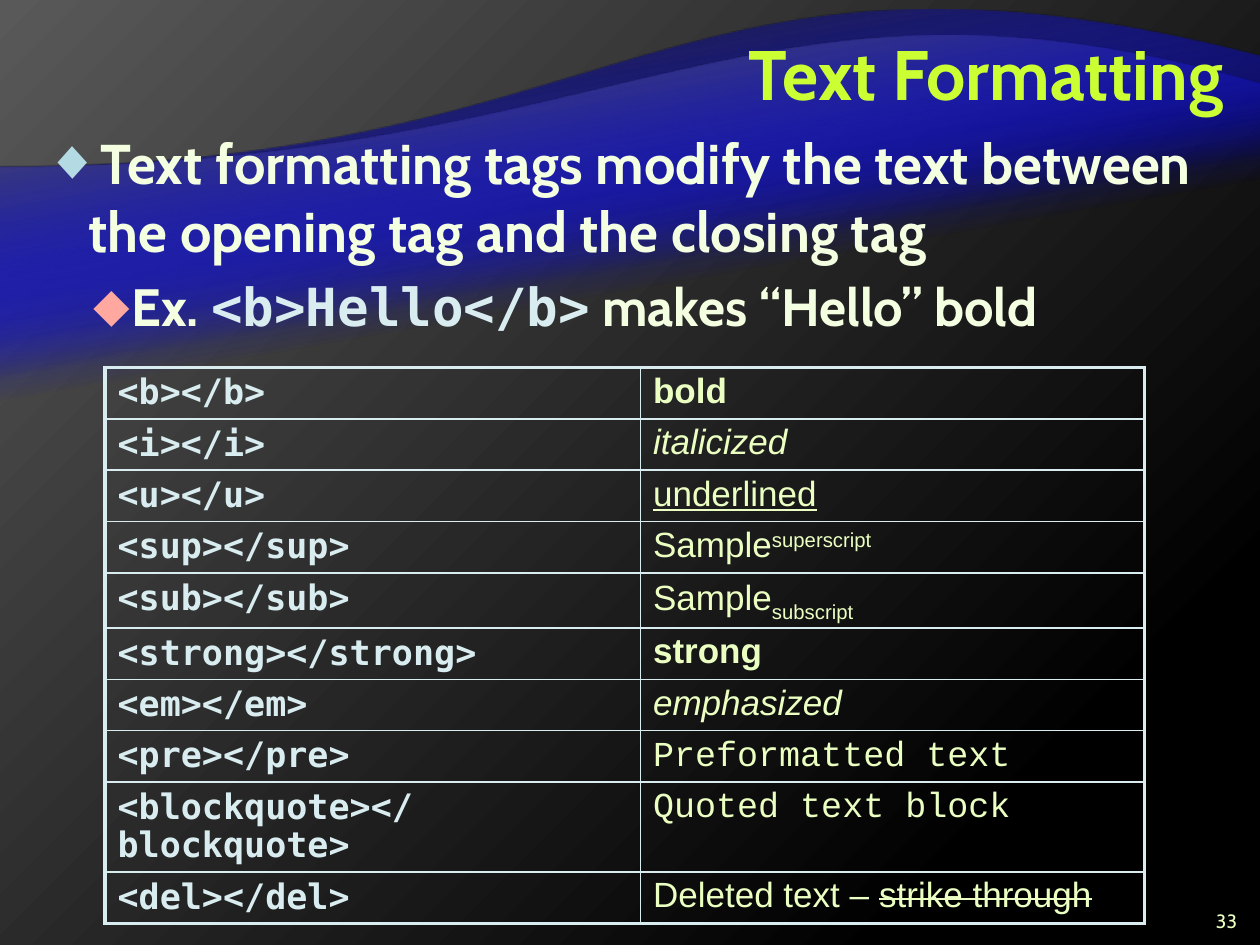
from lxml import etree
from pptx import Presentation
from pptx.dml.color import RGBColor
from pptx.enum.text import MSO_ANCHOR, MSO_AUTO_SIZE, PP_ALIGN
from pptx.oxml.ns import qn
from pptx.util import Inches, Pt

RIGHT = PP_ALIGN.RIGHT
MIDDLE = MSO_ANCHOR.MIDDLE
NO_AUTOFIT = MSO_AUTO_SIZE.NONE

LIME = RGBColor(0xCC, 0xFF, 0x33)
CREAM = RGBColor(0xF4, 0xFE, 0xE0)
PALE_BLUE = RGBColor(0xD9, 0xED, 0xF1)
PALE_GREEN = RGBColor(0xEA, 0xFF, 0xC1)
NUMBER_GREEN = RGBColor(0xEB, 0xFF, 0xC2)
BULLET_BLUE = RGBColor(0xB4, 0xDA, 0xE4)
BULLET_PINK = RGBColor(0xFF, 0xA8, 0x9F)
BLUE = RGBColor(0x00, 0x00, 0xFF)
BLACK = RGBColor(0x00, 0x00, 0x00)
CHARCOAL = RGBColor(0x26, 0x26, 0x26)
GREY = RGBColor(0x59, 0x59, 0x59)

HEADING, CODE, PLAIN, TYPED = "Cabin", "DejaVu Sans Mono", "Arial", "Courier New"

# The slide is a grid of 100 columns by 75 rows.
UNIT = Inches(0.1)
COLUMNS, ROWS = 100, 75

BOLD, ITALIC, UNDERLINE = {"bold": True}, {"italic": True}, {"underline": True}
SUPER, SUB, STRIKE = {"baseline": "30000"}, {"baseline": "-25000"}, {"strike": "sngStrike"}
TAG_EFFECTS = [
    ("<b></b>", [("bold", BOLD)]),
    ("<i></i>", [("italicized", ITALIC)]),
    ("<u></u>", [("underlined", UNDERLINE)]),
    ("<sup></sup>", [("Sample", {}), ("superscript", SUPER)]),
    ("<sub></sub>", [("Sample", {}), ("subscript", SUB)]),
    ("<strong></strong>", [("strong", BOLD)]),
    ("<em></em>", [("emphasized", ITALIC)]),
    ("<pre></pre>", [("Preformatted text", {"name": TYPED})]),
    ("<blockquote></blockquote>", [("Quoted text block", {"name": TYPED})]),
    ("<del></del>", [("Deleted text – ", {}), ("strike through", STRIKE)]),
]


def grid(*cells):
    return [int(cell * UNIT) for cell in cells]


def place(shape, box):
    for side, length in zip(("left", "top", "width", "height"), grid(*box)):
        setattr(shape, side, length)


def child(parent, tag, **attributes):
    return etree.SubElement(parent, qn(tag), attributes)


def add_run(paragraph, text, color, **style):
    """Add a run; baseline and strike are XML attributes, the rest are font properties."""
    run = paragraph.add_run()
    run.text = text
    run.font.color.rgb = color
    for key, value in style.items():
        if key in ("baseline", "strike"):
            run.font._element.set(key, value)
        else:
            setattr(run.font, key, value)


def set_gradient(fill, owner, stops):
    """Give the fill these (percent, colour, alpha) stops; return its gradFill element."""
    fill.gradient()
    gradient = owner.find(".//" + qn("a:gradFill"))
    for part in list(gradient):
        gradient.remove(part)
    stop_list = child(gradient, "a:gsLst")
    for percent, color, alpha in stops:
        stop = child(stop_list, "a:gs", pos=str(percent * 1000))
        tint = child(stop, "a:srgbClr", val=str(color))
        if alpha < 100:
            child(tint, "a:alpha", val=str(alpha * 1000))
    return gradient


def paint_background(slide):
    gradient = set_gradient(slide.background.fill, slide._element,
                            [(0, GREY, 100), (83, BLACK, 100), (100, BLACK, 100)])
    glow = child(gradient, "a:path", path="circle")
    child(glow, "a:fillToRect", r="100000", b="100000")


def bend(wave, controls):
    """Turn the first straight side of the wave into a curve with two control points."""
    side = wave._element.find(".//" + qn("a:lnTo"))
    end = side[0]
    side.tag = qn("a:cubicBezTo")
    for x, y in controls:
        point = etree.Element(qn("a:pt"), x=str(x - wave.left), y=str(y - wave.top))
        end.addprevious(point)


def add_wave(slide, layer, crest, bottom, edge_color):
    """Put a band between the crest curve and the bottom row on the slide master.

    The band is drawn upside down and turned, so that its gradient runs upwards.
    """
    top = crest[-1][1]
    start, first, second, end = [grid(COLUMNS - x, top + bottom - y) for x, y in crest]
    builder = slide.shapes.build_freeform(*start)
    builder.add_line_segments([end, grid(0, top), grid(COLUMNS, top)], close=True)
    wave = builder.convert_to_shape()
    bend(wave, (first, second))
    wave.rotation = 180
    wave.shadow.inherit = False
    wave.line.fill.background()
    gradient = set_gradient(wave.fill, wave._element,
                            [(0, BLUE, 0), (65, BLUE, 0), (100, edge_color, 100)])
    child(gradient, "a:lin", ang=str(80 * 60000), scaled="0")
    wave._element.nvSpPr.cNvPr.set("id", str(100 + layer))
    slide.slide_layout.slide_master.shapes._spTree.insert(2 + layer, wave._element)


def add_waves(slide):
    tall = ([(0, 13.3), (50, 13.3), (53.4, -7.5), (100, 4.5)], 65.3, CHARCOAL)
    short = ([(0, 13.3), (50, 13.3), (59.8, -4.9), (100, 6.7)], 55.7, GREY)
    for layer, wave in enumerate((tall, short) * 2):
        add_wave(slide, layer, *wave)


def fill_title(title, box):
    place(title, box)
    frame = title.text_frame
    frame.auto_size = NO_AUTOFIT
    frame.vertical_anchor = MIDDLE
    heading = frame.paragraphs[0]
    heading.alignment = RIGHT
    add_run(heading, "Text Formatting", LIME, name=HEADING, size=Pt(40), bold=True)


def set_bullet(paragraph, mark, color, margin, indent):
    props = paragraph._p.get_or_add_pPr()
    props.set("marL", str(Inches(margin)))
    props.set("indent", str(Inches(indent)))
    child(child(props, "a:buClr"), "a:srgbClr", val=str(color))
    child(props, "a:buChar", char=mark)


def fill_body(body, box):
    place(body, box)
    frame = body.text_frame
    frame.auto_size = NO_AUTOFIT
    rule, example = frame.paragraphs[0], frame.add_paragraph()
    rule.space_before = Pt(0)
    set_bullet(rule, "◆", BULLET_BLUE, 0.35, -0.35)
    add_run(rule, "Text formatting tags modify the text between the opening tag and the closing tag",
            CREAM, name=HEADING, size=Pt(32), bold=True)
    example.level = 1
    example.space_before = Pt(6)
    set_bullet(example, "⬥", BULLET_PINK, 0.69, -0.3)
    for text, font, color in (("Ex. ", HEADING, CREAM), ("<b>Hello</b>", CODE, PALE_BLUE),
                              (" makes “Hello” bold", HEADING, CREAM)):
        add_run(example, text, color, name=font, size=Pt(30), bold=True)


def set_borders(cell, outer):
    """Rule all four sides, thicker on the sides named in outer."""
    props = cell._tc.get_or_add_tcPr()
    for index, side in enumerate("LRTB"):
        line = etree.Element(qn("a:ln" + side), w=str(Pt(2.25 if side in outer else 1)))
        child(child(line, "a:solidFill"), "a:srgbClr", val=str(PALE_BLUE))
        props.insert(index, line)


def add_tag_table(slide, box, column_widths):
    last = len(TAG_EFFECTS) - 1
    table = slide.shapes.add_table(last + 1, 2, *grid(*box)).table
    table.first_row = table.horz_banding = False
    for column, width in zip(table.columns, grid(*column_widths)):
        column.width = width
    for row, (tag, effect) in enumerate(TAG_EFFECTS):
        edges = "T" * (row == 0) + "B" * (row == last)
        tag_cell, effect_cell = table.cell(row, 0), table.cell(row, 1)
        for cell, side in ((tag_cell, "L"), (effect_cell, "R")):
            cell.fill.background()
            set_borders(cell, edges + side)
            cell.text_frame.paragraphs[0].line_spacing = 0.95
        add_run(tag_cell.text_frame.paragraphs[0], tag, PALE_BLUE,
                name=CODE, size=Pt(20), bold=True)
        for text, style in effect:
            add_run(effect_cell.text_frame.paragraphs[0], text, PALE_GREEN,
                    **{"name": PLAIN, "size": Pt(20), "bold": False, **style})


def add_page_number(slide, box):
    frame = slide.shapes.add_textbox(*grid(*box)).text_frame
    frame.word_wrap = True
    number = frame.paragraphs[0]
    number.alignment = RIGHT
    add_run(number, "33", NUMBER_GREEN, name=HEADING, size=Pt(11))


def main():
    prs = Presentation()
    prs.slide_width, prs.slide_height = grid(COLUMNS, ROWS)
    slide = prs.slides.add_slide(prs.slide_layouts[1])
    paint_background(slide)
    add_waves(slide)
    fill_title(slide.shapes.title, (26.4, 0.8, 71.67, 9.9))
    fill_body(slide.placeholders[1], (2.53, 9.73, 95, 62.8))
    add_tag_table(slide, (8.33, 29.17, 82.5, 28), (42.5, 40))
    add_page_number(slide, (94.17, 71.7, 5, 2.5))
    prs.save("out.pptx")


if __name__ == "__main__":
    main()
